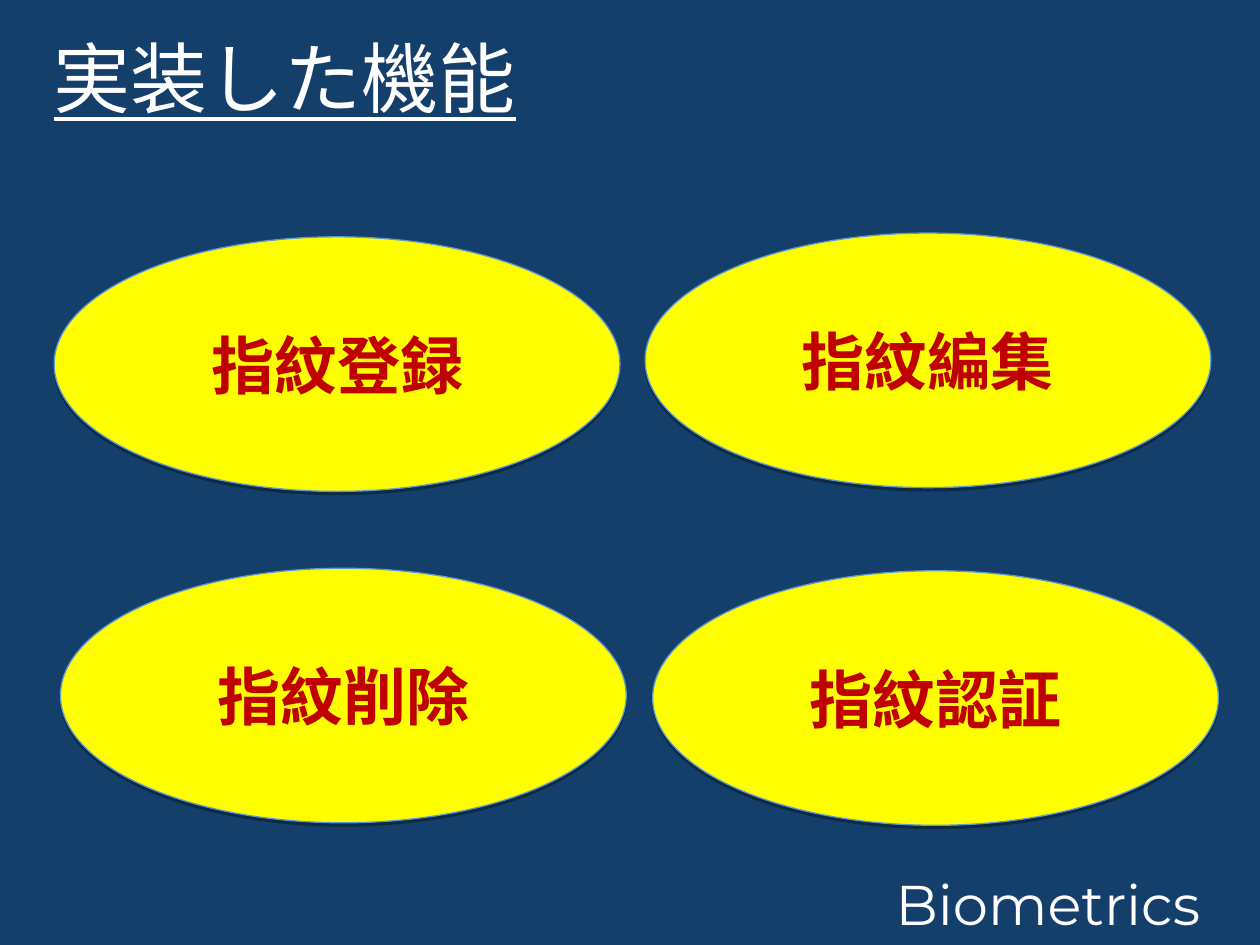
from lxml.etree import SubElement
from pptx import Presentation
from pptx.dml.color import RGBColor
from pptx.enum.shapes import MSO_SHAPE as Shape
from pptx.enum.text import MSO_ANCHOR as Anchor, PP_ALIGN as Align
from pptx.oxml.ns import qn
from pptx.util import Inches, Pt

# Content: text, (left, top, width, height), font format
LABELS = [
    ("Biometrics", (7.01, 6.85, 2.99, 0.64), {"name": "Montserrat", "size": Pt(32)}),
    ("実装した機能", (0.33, 0.19, 9.57, 0.84),
     {"name": "Calibri", "size": Pt(44), "underline": True}),
]
# Each function with the left and top of its oval
OVALS = [
    ("指紋登録", 0.43, 1.88),
    ("指紋認証", 5.18, 4.53),
    ("指紋編集", 5.12, 1.85),
    ("指紋削除", 0.48, 4.51),
]
OVAL_SIZE = (4.49, 2.02)
OVAL_FONT = {"name": "Calibri", "size": Pt(36), "bold": True}
NAVY, WHITE, YELLOW, RED, BLUE = "143F6A", "FFFFFF", "FFFF00", "C00000", "5D9ACF"


def paint(color, code):
    color.rgb = RGBColor.from_string(code)


def fill(part, code):
    part.fill.solid()
    paint(part.fill.fore_color, code)


def write(shape, text, style, code):
    frame = shape.text_frame
    frame.word_wrap = True
    para = frame.paragraphs[0]
    run = para.add_run()
    run.text = text
    for key, value in style.items():
        setattr(run.font, key, value)
    paint(run.font.color, code)
    return frame, para


def add_shadow(shape):
    shape.shadow.inherit = False
    effects = shape._element.spPr.find(qn("a:effectLst"))
    outer = SubElement(effects, qn("a:outerShdw"), blurRad="0",
                       dist=str(Pt(1.8)), dir="5400000", rotWithShape="0")
    black = SubElement(outer, qn("a:srgbClr"), val="000000")
    SubElement(black, qn("a:alpha"), val="35000")


deck = Presentation()
deck.slide_width, deck.slide_height = Inches(10), Inches(7.5)
slide = deck.slides.add_slide(deck.slide_layouts[6])
fill(slide.background, NAVY)

# Title and footer
for text, box, style in LABELS:
    label = slide.shapes.add_textbox(*map(Inches, box))
    write(label, text, style, WHITE)

# Function ovals
for text, left, top in OVALS:
    oval = slide.shapes.add_shape(Shape.OVAL, *map(Inches, (left, top, *OVAL_SIZE)))
    fill(oval, YELLOW)
    paint(oval.line.color, BLUE)
    oval.line.width = Pt(0.75)
    add_shadow(oval)
    frame, para = write(oval, text, OVAL_FONT, RED)
    frame.vertical_anchor = Anchor.MIDDLE
    para.alignment = Align.CENTER

deck.save("out.pptx")
